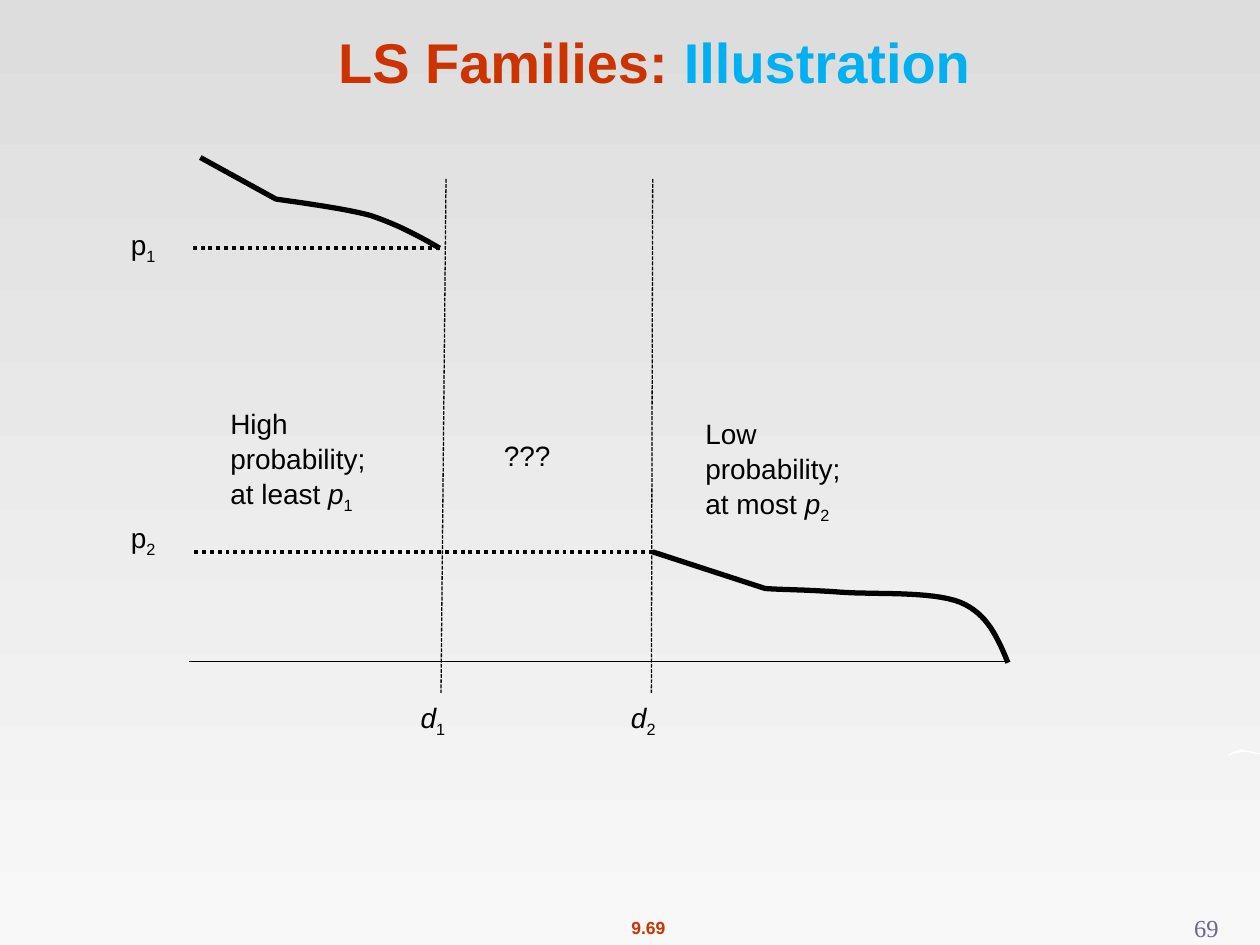
import pptx
import pptx.dml.color
import pptx.enum.dml
import pptx.enum.shapes
import pptx.enum.text
import pptx.oxml.ns
import pptx.util
from collections import namedtuple
from lxml import etree

COLORS = {
    "background top": "DDDDDD",
    "background bottom": "F8F8F8",
    "red": "CC3300",
    "blue": "00B0F0",
    "ink": "000000",
    "page number": "666699",
    "mark": "FFFFFF",
}
WIDTH, HEIGHT = pptx.util.Inches(10), pptx.util.Inches(7.5)
COLUMNS, ROWS = 100, 75
CURVE_STEPS = 16
ALIGN = pptx.enum.text.PP_ALIGN
ANCHOR = pptx.enum.text.MSO_ANCHOR
DASH = pptx.enum.dml.MSO_LINE

Run = namedtuple("Run", "text color italic subscript", defaults=(None, False, False))


class Box(namedtuple("Box", "left top width height")):
    """A region measured in grid columns and rows."""

    def point(self, column, row):
        return (round((self.left + column) * WIDTH / COLUMNS),
                round((self.top + row) * HEIGHT / ROWS))

    def area(self, column, row, width, height):
        return Box(self.left + column, self.top + row, width, height)

    def frame(self):
        size = (round(self.width * WIDTH / COLUMNS), round(self.height * HEIGHT / ROWS))
        return self.point(0, 0) + size


def rgb(name):
    return pptx.dml.color.RGBColor.from_string(COLORS[name])


def add_text(slide, box, paragraphs, font="Arial", size=16, color="ink", bold=False,
             align=ALIGN.LEFT, anchor=ANCHOR.TOP, spacing=1.0):
    """Add a text box from a list of paragraphs, each a list of Runs."""
    text_frame = slide.shapes.add_textbox(*box.frame()).text_frame
    text_frame.word_wrap = True
    text_frame.vertical_anchor = anchor
    for index, pieces in enumerate(paragraphs):
        paragraph = text_frame.paragraphs[0] if index == 0 else text_frame.add_paragraph()
        paragraph.alignment = align
        paragraph.line_spacing = spacing
        for piece in pieces:
            run = paragraph.add_run()
            run.text = piece.text
            run.font.name = font
            run.font.size = pptx.util.Pt(size)
            run.font.bold = bold
            run.font.italic = piece.italic
            run.font.color.rgb = rgb(piece.color or color)
            if piece.subscript:
                run.font._element.set("baseline", "-25000")


def symbol(letter, index, italic=True):
    return [Run(letter, italic=italic), Run(index, subscript=True)]


def add_line(slide, start, end, weight=0.75, dash=None):
    connector = slide.shapes.add_connector(
        pptx.enum.shapes.MSO_CONNECTOR.STRAIGHT, *start, *end)
    connector.line.color.rgb = rgb("ink")
    connector.line.width = pptx.util.Pt(weight)
    if dash is not None:
        connector.line.dash_style = dash
    etree.SubElement(connector._element.spPr, pptx.oxml.ns.qn("a:effectLst"))


def add_outline(slide, box, points, close):
    start, *rest = [box.point(*point) for point in points]
    builder = slide.shapes.build_freeform(*start)
    builder.add_line_segments(rest, close=close)
    shape = builder.convert_to_shape()
    shape.shadow.inherit = False
    return shape


def bezier(start, first, second, end):
    """Return points along a cubic curve, leaving out its start."""
    points = []
    for step in range(1, CURVE_STEPS + 1):
        t = step / CURVE_STEPS
        weights = ((1 - t) ** 3, 3 * t * (1 - t) ** 2, 3 * t * t * (1 - t), t ** 3)
        points.append(tuple(
            sum(weight * value for weight, value in zip(weights, values))
            for values in zip(start, first, second, end)))
    return points


def add_curve(slide, box, start, corner, bends):
    """Draw a straight piece to the corner, then the cubic bends."""
    points = [start, corner]
    for bend in bends:
        points += bezier(points[-1], *bend)
    shape = add_outline(slide, box, points, close=False)
    shape.fill.background()
    shape.line.color.rgb = rgb("ink")
    shape.line.width = pptx.util.Pt(3)


def paint_background(slide):
    fill = slide.background.fill
    fill.gradient()
    fill.gradient_angle = 270
    for stop, name in zip(fill.gradient_stops, ("background top", "background bottom")):
        stop.color.rgb = rgb(name)


def build_title(slide, box):
    add_text(slide, box, [[Run("LS Families: ", "red"), Run("Illustration ", "blue")]],
             size=32, bold=True, align=ALIGN.CENTER, anchor=ANCHOR.BOTTOM)


def build_edge_mark(slide, box):
    outline = [(0, 0.6), (0.1, 0.3), (0.3, 0.2), (0.6, 0.1), (0.9, 0), (1.2, 0),
               (1.5, 0.1), (2, 0.2), (2.5, 0.3), (2.4, 0.4), (2, 0.3), (1.5, 0.2),
               (1, 0.2), (0.5, 0.3), (0.2, 0.4)]
    shape = add_outline(slide, box, outline, close=True)
    shape.fill.solid()
    shape.fill.fore_color.rgb = rgb("mark")
    shape.line.fill.background()


def build_footer(slide, box):
    add_text(slide, box.area(49, 0.3, 4.9, 2.7), [[Run("9.69")]],
             size=10, color="red", bold=True, align=ALIGN.CENTER)
    add_text(slide, box.area(89.7, 0, 8, 3), [[Run("69")]],
             font="Times New Roman", size=14, color="page number", align=ALIGN.RIGHT)


def build_plot(slide, box):
    """Draw probability against distance, with thresholds d1, d2, p1 and p2."""
    axis, high, low = 40, 7.2, 31.3
    near, far = 20, 36.7
    add_line(slide, box.point(0, axis), box.point(box.width, axis))

    for index, top, bottom in (("1", near + 0.4, near), ("2", far + 0.1, far)):
        add_line(slide, box.point(top, 1.7), box.point(bottom, box.height),
                 dash=DASH.SQUARE_DOT)
        add_text(slide, box.area(bottom - 2.6, box.height, 4.6, 4.3),
                 [symbol("d", index)], spacing=1.04)

    for index, start, end, level, label_top in (
            ("1", 19.9, 0, high, 5.1), ("2", 36.8, 0.4, low, 28.3)):
        add_line(slide, box.point(start, level), box.point(end, level),
                 weight=2.25, dash=DASH.ROUND_DOT)
        add_text(slide, box.area(-5.6, label_top, 4.6, 4),
                 [symbol("p", index, italic=False)])

    add_curve(slide, box, (0.9, 0), (6.9, 3.3), [
        ((8.2, 3.5), (12.2, 4), (14.4, 4.6)),
        ((16.5, 5.3), (18.2, 6.2), (19.9, high))])
    add_curve(slide, box, (36.8, low), (45.7, 34.2), [
        ((46.7, 34.3), (49.1, 34.3), (51.7, 34.5)),
        ((54.3, 34.7), (58.9, 34.4), (61.2, 35.3)),
        ((63.4, 36.2), (64.2, 38.2), (65, axis + 0.1))])

    for name, bound, index, column, row in (
            ("High", "at least ", "1", 2.3, 19.2), ("Low", "at most ", "2", 40, 20)):
        add_text(slide, box.area(column, row, 15.8, 11),
                 [[Run(name)], [Run("probability;")], [Run(bound)] + symbol("p", index)],
                 spacing=1.04)
    add_text(slide, box.area(24, 21.7, 6, 4.3), [[Run("???")]], spacing=1.04)


def main():
    presentation = pptx.Presentation()
    presentation.slide_width, presentation.slide_height = WIDTH, HEIGHT
    slide = presentation.slides.add_slide(presentation.slide_layouts[6])
    paint_background(slide)
    build_edge_mark(slide, Box(97.5, 59.5, 2.5, 0.6))
    build_title(slide, Box(8.4, 1.3, 88.3, 6.7))
    build_plot(slide, Box(15, 12.5, 65, 42.5))
    build_footer(slide, Box(0, 72, 100, 3))
    presentation.save("out.pptx")


if __name__ == "__main__":
    main()
